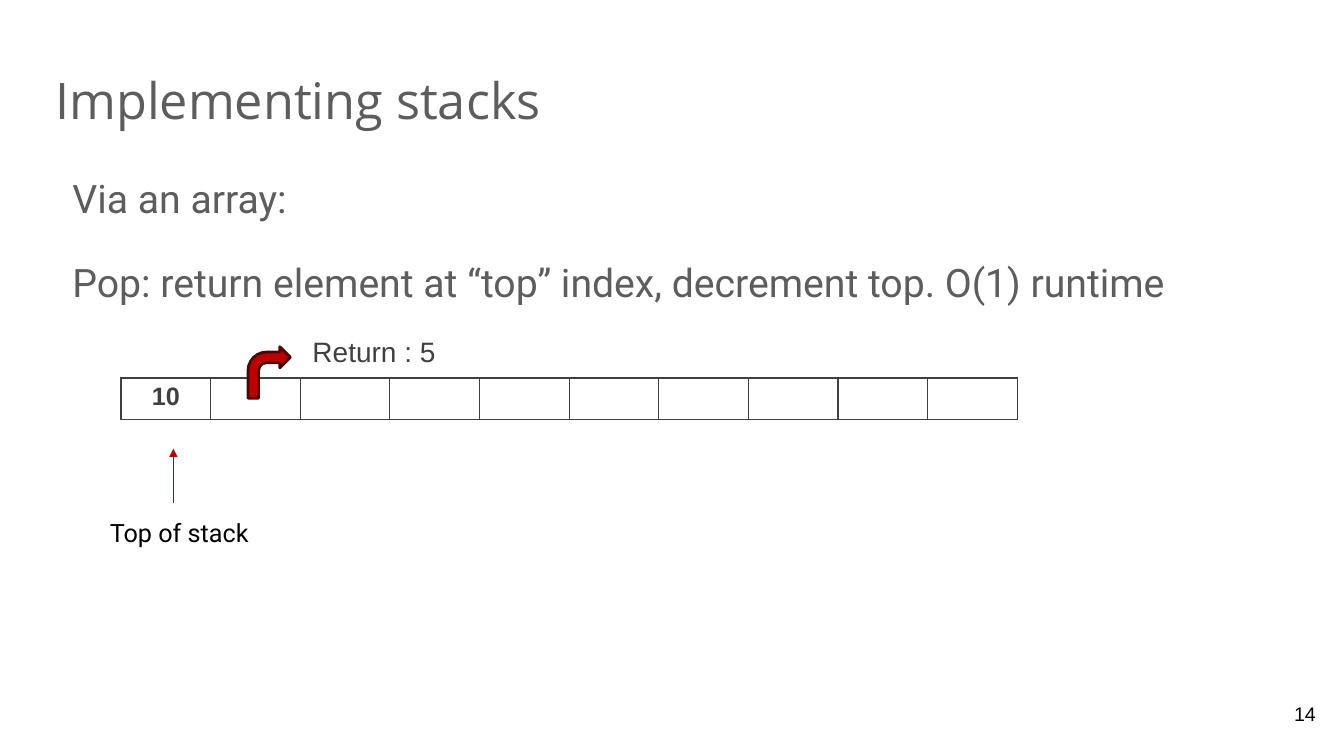
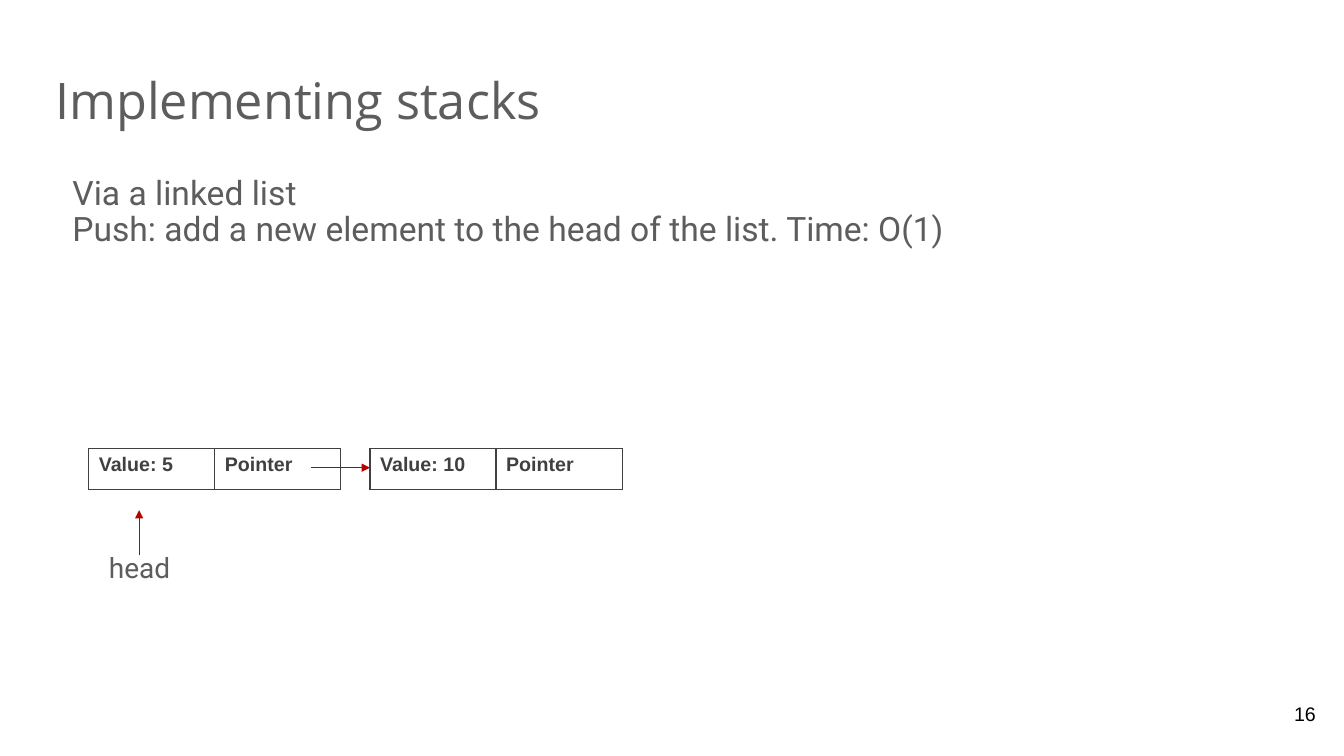
from collections import namedtuple
from pptx import Presentation
from pptx.dml.color import RGBColor
from pptx.enum.shapes import MSO_CONNECTOR, MSO_SHAPE
from pptx.enum.text import MSO_ANCHOR, PP_ALIGN
from pptx.oxml.ns import qn
from pptx.util import Inches, Pt
from lxml.etree import SubElement

Box = namedtuple("Box", "left top width height")
Style = namedtuple("Style", "size font color bold", defaults=(False,))

COLORS = {
    "text": "5D5D5D",
    "ink": "000000",
    "cell": "404040",
    "arrow": "B70000",
    "bent": "BB0000",
    "bent_edge": "520000",
}
TITLE = Style(36, "Open Sans", "text")
NUMBER = Style(14, "Arial", "ink")
TITLE_BOX = Box(0.45, 0.65, 12.42, 0.84)
NUMBER_BOX = Box(12.35, 6.8, 0.8, 0.57)
ROW_HEIGHT = 0.41


def color(name):
    return RGBColor.from_string(COLORS[name])


def inches(box):
    return [Inches(length) for length in box]


def inside(box, left, top, width, height):
    return Box(box.left + left, box.top + top, width, height)


def write(paragraph, text, style):
    run = paragraph.add_run()
    run.text = text
    run.font.size = Pt(style.size)
    run.font.name = style.font
    run.font.bold = style.bold
    run.font.color.rgb = color(style.color)


def add_text(slide, box, lines, style, inset=(0.1, 0.05), align=PP_ALIGN.LEFT,
             anchor=MSO_ANCHOR.TOP, indent=0, line_spacing=1, gap=0):
    frame = slide.shapes.add_textbox(*inches(box)).text_frame
    frame.word_wrap = True
    frame.vertical_anchor = anchor
    frame.margin_left = frame.margin_right = Inches(inset[0])
    frame.margin_top = frame.margin_bottom = Inches(inset[1])
    for index, line in enumerate(lines):
        paragraph = frame.add_paragraph() if index else frame.paragraphs[0]
        paragraph.alignment = align
        paragraph.line_spacing = line_spacing
        paragraph.space_before = Pt(gap if index else 0)
        if indent:
            paragraph._p.get_or_add_pPr().set("marL", str(Inches(indent)))
        write(paragraph, line, style)


def add_borders(cell):
    properties = cell._tc.get_or_add_tcPr()
    for position, side in enumerate(("a:lnL", "a:lnR", "a:lnT", "a:lnB")):
        line = properties.makeelement(qn(side), {"w": str(Pt(1))})
        fill = SubElement(line, qn("a:solidFill"))
        SubElement(fill, qn("a:srgbClr"), val=COLORS["cell"])
        properties.insert(position, line)


def add_cells(slide, box, texts, style, align=PP_ALIGN.LEFT):
    frame = slide.shapes.add_table(1, len(texts), *inches(box))
    table = frame.table
    table.first_row = table.horz_banding = False
    for column, text in enumerate(texts):
        table.columns[column].width = Inches(box.width / len(texts))
        cell = table.cell(0, column)
        cell.fill.background()
        add_borders(cell)
        if text:
            paragraph = cell.text_frame.paragraphs[0]
            paragraph.alignment = align
            write(paragraph, text, style)


def add_arrow(slide, start, end):
    arrow = slide.shapes.add_connector(
        MSO_CONNECTOR.STRAIGHT, *inches(start + end))
    arrow.line.color.rgb = color("arrow")
    arrow.line.width = Pt(0.75)
    SubElement(arrow.line._get_or_add_ln(), qn("a:tailEnd"), type="triangle")
    SubElement(arrow._element.spPr, qn("a:effectLst"))


def add_page(presentation, number, body_box, lines, size, gap=0):
    slide = presentation.slides.add_slide(presentation.slide_layouts[6])
    add_text(slide, TITLE_BOX, ["Implementing stacks"], TITLE,
             inset=(0.1, 0.1), line_spacing=0.9)
    add_text(slide, body_box, lines, Style(size, "Roboto", "text"),
             inset=(0.1, 0.1), indent=0.17, line_spacing=0.9, gap=gap)
    add_text(slide, NUMBER_BOX, [str(number)], NUMBER, inset=(0.1, 0.1),
             align=PP_ALIGN.RIGHT, anchor=MSO_ANCHOR.MIDDLE)
    return slide


def draw_array(slide, box, values, returned):
    add_cells(slide, box, values, Style(18, "Arial", "cell", True),
              PP_ALIGN.CENTER)
    pointer = box.left + 0.52
    add_arrow(slide, (pointer, box.top + 1.24), (pointer, box.top + 0.7))
    add_text(slide, inside(box, -0.21, 1.33, 2.31, 0.4), ["Top of stack"],
             Style(18, "Roboto", "ink"))
    add_text(slide, inside(box, 0.94, -0.48, 3.14, 0.44), [returned],
             Style(20, "Arial", "cell"), align=PP_ALIGN.CENTER)
    bent = slide.shapes.add_shape(
        MSO_SHAPE.BENT_ARROW, *inches(inside(box, 1.26, -0.31, 0.42, 0.51)))
    bent.shadow.inherit = False
    bent.fill.solid()
    bent.fill.fore_color.rgb = color("bent")
    bent.line.color.rgb = color("bent_edge")
    bent.line.width = Pt(2)


def draw_linked_list(slide, box, values, step):
    for index, value in enumerate(values):
        node = inside(box, index * step, 0, box.width, box.height)
        add_cells(slide, node, [f"Value: {value}", "Pointer"],
                  Style(14, "Arial", "cell", True))
        if index:
            middle = node.top + 0.19
            add_arrow(slide, (node.left - 0.59, middle), (node.left, middle))
    head = box.left + 0.5
    add_arrow(slide, (head, box.top + 1.06), (head, box.top + 0.61))
    add_text(slide, inside(box, -0.1, 0.96, 2.3, 0.44), ["head"],
             Style(20, "Roboto", "text"), inset=(0.05, 0.05), indent=0.25)


def main():
    presentation = Presentation()
    presentation.slide_width = Inches(13.33)
    presentation.slide_height = Inches(7.5)

    slide = add_page(
        presentation, 14, Box(0.45, 1.68, 12.42, 4.98),
        ["Via an array:",
         "Pop: return element at “top” index, decrement top. O(1) runtime"],
        28, gap=30)
    draw_array(slide, Box(1.2, 3.75, 8.89, ROW_HEIGHT),
               ["10"] + [""] * 9, "Return : 5")

    slide = add_page(
        presentation, 16, Box(0.45, 1.65, 12.42, 2.87),
        ["Via a linked list",
         "Push: add a new element to the head of the list. Time: O(1)"], 24)
    draw_linked_list(slide, Box(0.88, 4.45, 2.5, ROW_HEIGHT), [5, 10], 2.79)

    presentation.save("out.pptx")


if __name__ == "__main__":
    main()
